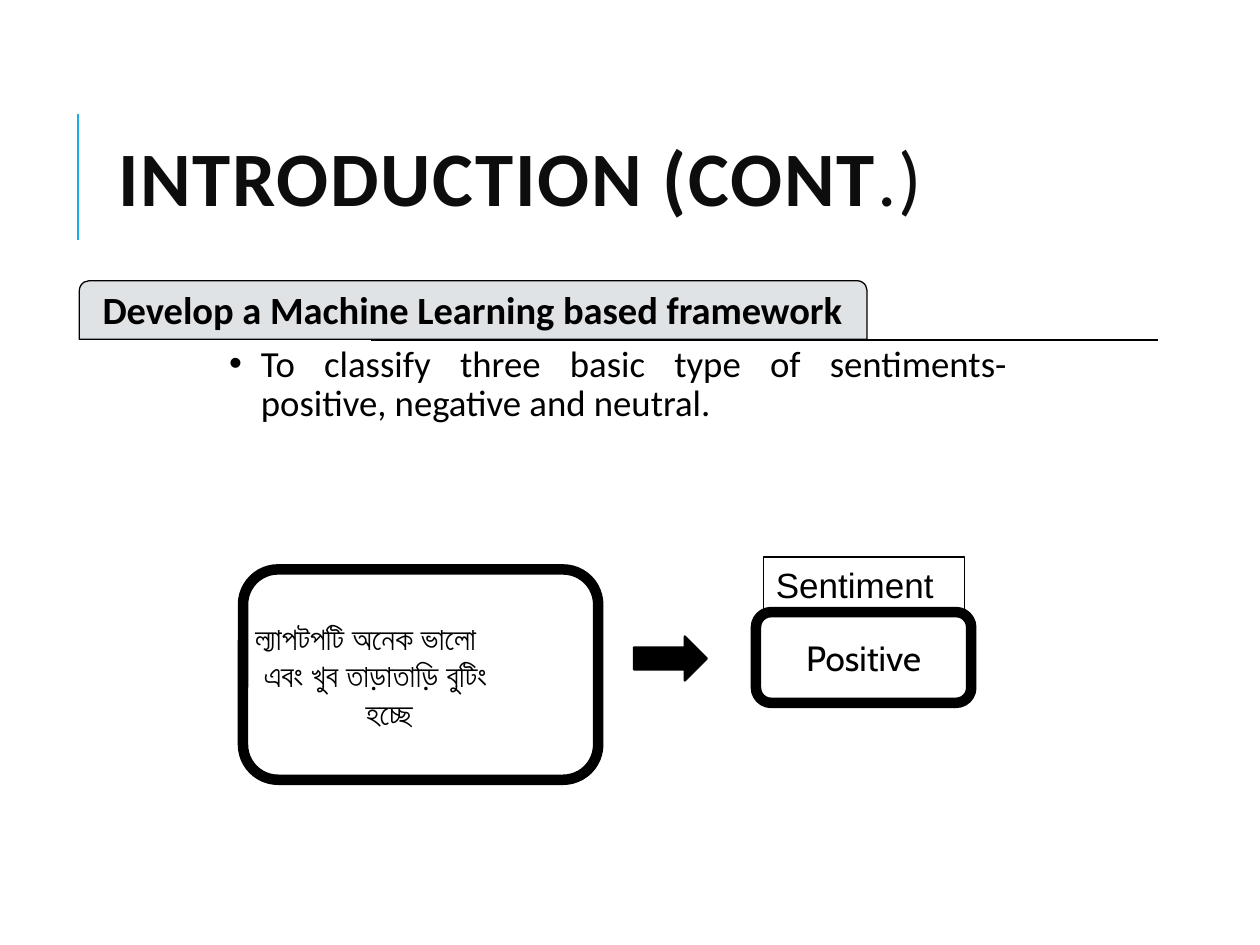
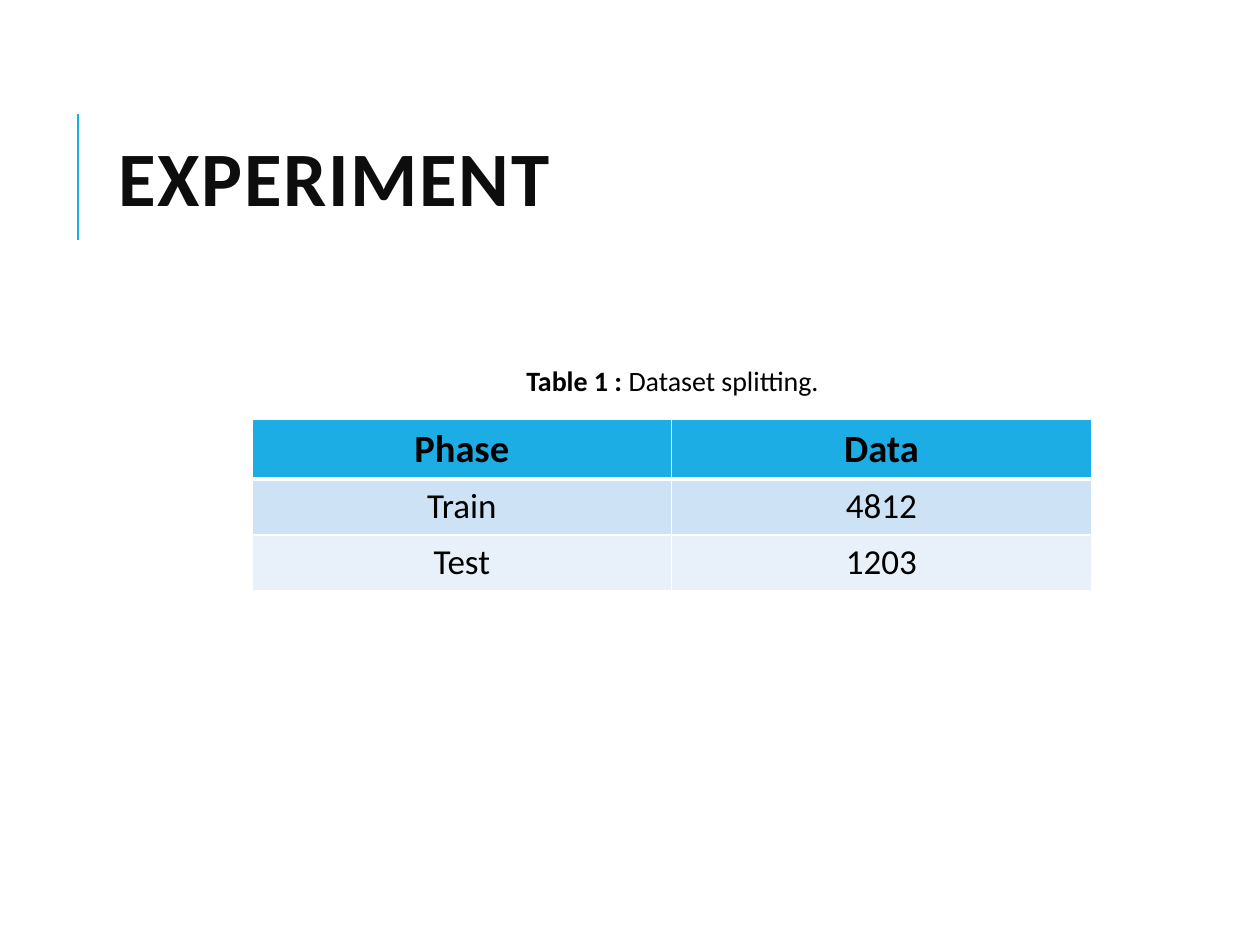
from dataclasses import dataclass, field

from lxml import etree
from pptx import Presentation
from pptx import util as u
from pptx.dml.color import RGBColor
from pptx.enum import shapes, text
from pptx.oxml.ns import qn

BLACK, WHITE, INK = "000000", "FFFFFF", "0D0D0D"
BLUE, GREY = "1CADE4", "DFE3E5"
BANDS = [BLUE, "CDE3F5", "E8F1FA"]
KIND = shapes.MSO_SHAPE
LEFT, MID, JUST = text.PP_ALIGN.LEFT, text.PP_ALIGN.CENTER, text.PP_ALIGN.JUSTIFY
TOP, HALF = text.MSO_ANCHOR.TOP, text.MSO_ANCHOR.MIDDLE


@dataclass
class Run:
    """A stretch of text in one style."""
    words: str
    size: float = 20
    bold: bool = False
    face: str = "Calibri"
    tint: str = BLACK
    track: int = 0


@dataclass
class Para:
    """A paragraph with its runs and format values."""
    runs: list[Run]
    form: dict = field(default_factory=dict)
    left: float = 0
    hang: float = 0


@dataclass
class Box:
    """A preset shape with place in centimetres, fill, line and text."""
    kind: KIND
    at: tuple
    fill: str = ""
    width: float = 0.75
    paras: list[Para] = field(default_factory=list)
    anchor: text.MSO_ANCHOR = HALF


def color(code: str) -> RGBColor:
    """Turn a hex string into a colour."""
    return RGBColor.from_string(code)


def apply(item, form: dict) -> None:
    """Set each attribute of an item from a dict."""
    for key, val in form.items():
        setattr(item, key, val)


def place(item, at: tuple) -> None:
    """Move and size an item in centimetres."""
    apply(item, dict(zip(("left", "top", "width", "height"), map(u.Cm, at))))


def write(frame, paras: list[Para], anchor=TOP, inset: float = 0.25) -> None:
    """Fill a text frame with formatted paragraphs."""
    side = u.Cm(inset)
    edge = u.Cm(min(inset, 0.13))
    apply(frame, {"word_wrap": True, "auto_size": text.MSO_AUTO_SIZE.NONE,
                  "vertical_anchor": anchor, "margin_left": side,
                  "margin_right": side, "margin_top": edge, "margin_bottom": edge})
    for num, para in enumerate(paras):
        line = frame.add_paragraph() if num else frame.paragraphs[0]
        if para.left:
            prop = line._p.get_or_add_pPr()
            prop.set("marL", str(u.Cm(para.left)))
            prop.set("indent", str(u.Cm(para.hang)))
        apply(line, {"alignment": LEFT, "space_before": u.Pt(0)} | para.form)
        for part in para.runs:
            run = line.add_run()
            run.text = part.words
            apply(run.font, {"size": u.Pt(part.size), "bold": part.bold, "name": part.face})
            run.font.color.rgb = color(part.tint)
            if part.track:
                run._r.get_or_add_rPr().set("spc", str(part.track))


def rule(slide, ends: tuple, tint: str, width: float) -> None:
    """Draw a straight line without shadow."""
    line = slide.shapes.add_connector(shapes.MSO_CONNECTOR.STRAIGHT, *map(u.Cm, ends))
    line.line.color.rgb = color(tint)
    line.line.width = u.Pt(width)
    etree.SubElement(line._element.spPr, qn("a:effectLst"))


def draw(slide, box: Box):
    """Draw a preset shape with its text."""
    item = slide.shapes.add_shape(box.kind, *map(u.Cm, box.at))
    item.shadow.inherit = False
    if box.fill:
        item.fill.solid()
        item.fill.fore_color.rgb = color(box.fill)
    else:
        item.fill.background()
    item.line.color.rgb = color(BLACK)
    item.line.width = u.Pt(box.width)
    if box.paras:
        write(item.text_frame, box.paras, box.anchor)
    return item


def label(slide, at: tuple, paras: list[Para], anchor=TOP, inset: float = 0.25) -> None:
    """Add a text box."""
    item = slide.shapes.add_textbox(*map(u.Cm, at))
    write(item.text_frame, paras, anchor, inset)


def start(deck, kind: int, bold: str, plain: str = ""):
    """Add a slide with the side bar and its title."""
    slide = deck.slides.add_slide(deck.slide_layouts[kind])
    rule(slide, (1.57, 4.83, 1.57, 2.29), BLUE, 1.5)
    title = slide.shapes.title
    place(title, (2.13, 1.63, 20.24, 4.17))
    runs = [Run(words, 44, heavy, tint=INK, track=100)
            for words, heavy in ((bold, True), (plain, False)) if words]
    write(title.text_frame, [Para(runs, {"line_spacing": 0.8})], HALF)
    return slide


def border(cell, base: float) -> None:
    """Give a cell white borders, with its own width at the base."""
    prop = cell._tc.get_or_add_tcPr()
    for num, side in enumerate("LRTB"):
        width = base if side == "B" else 1
        line = etree.Element(qn(f"a:ln{side}"), w=str(u.Pt(width)))
        fill = etree.SubElement(line, qn("a:solidFill"))
        etree.SubElement(fill, qn("a:srgbClr"), val=WHITE)
        prop.insert(num, line)


def intro(deck) -> None:
    """Build the slide on the sentiment framework."""
    slide = start(deck, 1, "INTRODUCTION (CONT", ".)")
    boxes = [
        Box(KIND.ROUNDED_RECTANGLE, (4.9, 11.48, 7.16, 4.24), width=6),
        Box(KIND.RIGHT_ARROW, (12.78, 12.83, 1.47, 0.89), BLACK, 1.25),
        Box(KIND.ROUNDED_RECTANGLE, (15.24, 12.34, 4.34, 1.83), width=6,
            paras=[Para([Run("Positive", face="Cabin")], {"alignment": MID})]),
        Box(KIND.RECTANGLE, (15.39, 11.23, 4.06, 1.12), anchor=TOP,
            paras=[Para([Run("Sentiment", face="Arial")])]),
    ]
    for box in boxes:
        draw(slide, box)
    lines = [("ল্যাপটপটি অনেক ভালো", 0), ("এবং খুব তাড়াতাড়ি বুটিং", 0.17), ("হচ্ছে", 2.22)]
    label(slide, (4.9, 12.34, 12.7, 2.57),
          [Para([Run(words, 18, face="Arial")], left=left) for words, left in lines])
    rule(slide, (7.47, 6.86, 23.34, 6.86), BLACK, 1.25)
    tab = draw(slide, Box(KIND.ROUND_2_SAME_RECTANGLE, (1.6, 5.66, 15.88, 1.18), GREY))
    tab.adjustments[0] = 0.17
    label(slide, (1.65, 5.74, 15.75, 1.12),
          [Para([Run("Develop a Machine Learning based framework", 22, True)],
                {"alignment": MID, "line_spacing": 0.9})], HALF, 0.13)
    body = slide.placeholders[1]
    place(body, (4.52, 6.86, 15.88, 2.36))
    goal = "To classify three basic type of sentiments- positive, negative and neutral."
    write(body.text_frame, [Para([Run(goal, 21)], {"alignment": JUST, "line_spacing": 0.9},
                                 0.64, -0.64)], inset=0.1)


def trial(deck) -> None:
    """Build the slide with the dataset table."""
    slide = start(deck, 5, "EXPERIMENT")
    rows = [("Phase", "Data"), ("Train", "4812"), ("Test", "1203")]
    grid = slide.shapes.add_table(3, 2, *map(u.Cm, (5.08, 8.46, 16.92, 3.39))).table
    for r, row in enumerate(rows):
        head = r == 0
        grid.rows[r].height = u.Cm(1.13)
        for c, words in enumerate(row):
            cell = grid.cell(r, c)
            cell.fill.solid()
            cell.fill.fore_color.rgb = color(BANDS[r])
            border(cell, 3 if head else 1)
            line = cell.text_frame.paragraphs[0]
            line.alignment = MID
            run = line.add_run()
            run.text = words
            apply(run.font, {"size": u.Pt(22 if head else 20), "bold": head, "name": "Calibri"})
            run.font.color.rgb = color(BLACK)
    label(slide, (10.36, 7.19, 10.59, 0.94),
          [Para([Run("Table 1 : ", 16, True), Run("Dataset splitting.", 16)])])


def main() -> None:
    """Build and save the deck."""
    deck = Presentation()
    apply(deck, {"slide_width": u.Cm(25.4), "slide_height": u.Cm(19.05)})
    intro(deck)
    trial(deck)
    deck.save("out.pptx")


if __name__ == "__main__":
    main()
